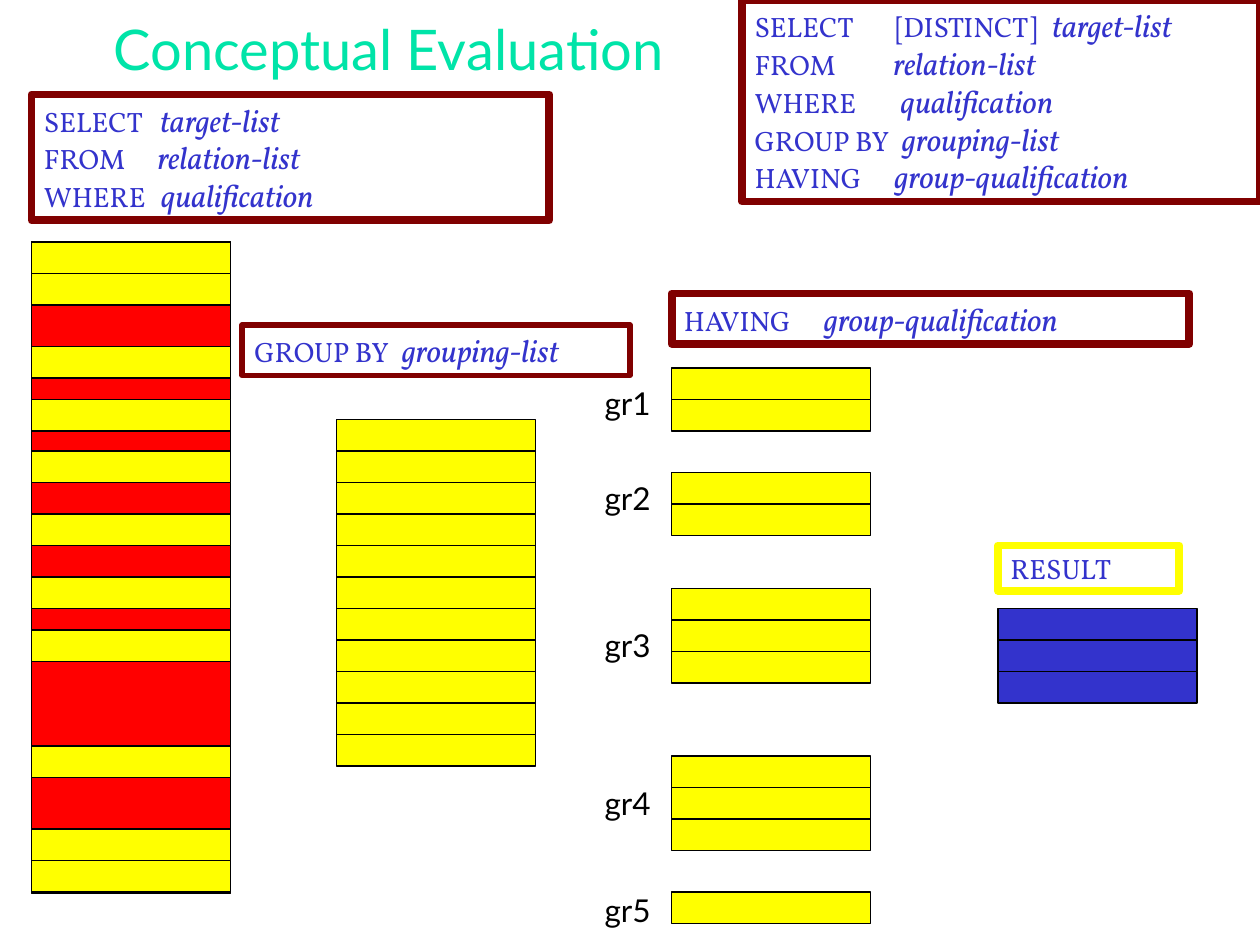
from dataclasses import dataclass

from lxml import etree
from pptx import Presentation
from pptx import util as u
from pptx.dml.color import RGBColor
from pptx.enum import shapes, text
from pptx.oxml.ns import qn


@dataclass(frozen=True)
class Theme:
    title: str = "00E4A8"
    query: str = "3333CC"
    frame: str = "800000"
    kept: str = "FFFF00"
    dropped: str = "FF0000"
    ink: str = "000000"
    sans: str = "Lato"
    serif: str = "Vollkorn"
    title_size: int = 32
    keyword_size: int = 16
    term_size: int = 18


@dataclass(frozen=True)
class Clause:
    keyword: str
    term: str = ""
    stops: tuple[float, ...] = ()


@dataclass(frozen=True)
class QueryBox:
    left: float
    top: float
    width: float
    height: float
    clauses: tuple[Clause, ...]
    border: str
    weight: float = 4.5


@dataclass(frozen=True)
class RowGroup:
    top: float
    rows: int
    label: str
    label_top: float


THEME = Theme()
ROW_WIDTH = 1.58
ROW_HEIGHT = 0.25
RELATION_LEFT = 0.25
GROUPS_LEFT = 5.33
LABEL_LEFT = 4.7

GROUP_BY = Clause("GROUP BY", "grouping-list", (1.17,))
HAVING = Clause("HAVING", "group-qualification", (1.11,))

QUERY_BOXES = (
    QueryBox(5.89, 0, 4.11, 1.6, (
        Clause("SELECT\t[DISTINCT]", "target-list", (1.12, 2.36)),
        Clause("FROM", "relation-list", (1.1,)),
        Clause("WHERE", "qualification", (1.16,)),
        GROUP_BY,
        HAVING,
    ), THEME.frame),
    QueryBox(0.25, 0.75, 4.11, 1, (
        Clause("SELECT", "target-list", (0.92,)),
        Clause("FROM", "relation-list", (0.9,)),
        Clause("WHERE", "qualification", (0.93,)),
    ), THEME.frame),
    QueryBox(1.92, 2.58, 3.08, 0.4, (GROUP_BY,), THEME.frame, 3),
    QueryBox(5.33, 2.33, 4.11, 0.4, (HAVING,), THEME.frame),
    QueryBox(7.92, 4.33, 1.44, 0.36, (Clause("RESULT"),), THEME.kept),
)

QUALIFYING_TOPS = (1.92, 2.17, 2.75, 3.17, 3.58, 4.08, 4.58, 5, 5.92, 6.58, 6.83)

ROW_GROUPS = (
    RowGroup(2.92, 2, "gr1", 3),
    RowGroup(3.75, 2, "gr2", 3.75),
    RowGroup(4.67, 3, "gr3", 4.92),
    RowGroup(6, 3, "gr4", 6.17),
    RowGroup(7.08, 1, "gr5", 7.02),
)


def color(value: str) -> RGBColor:
    return RGBColor.from_string(value)


def add_box(parent, left: float, top: float, width: float, height: float,
            fill: str | None, border: str, weight: float):
    box = parent.add_shape(
        shapes.MSO_SHAPE.RECTANGLE,
        u.Inches(left), u.Inches(top), u.Inches(width), u.Inches(height),
    )
    box.shadow.inherit = False
    if fill is None:
        box.fill.background()
    else:
        box.fill.solid()
        box.fill.fore_color.rgb = color(fill)
    box.line.color.rgb = color(border)
    box.line.width = u.Pt(weight)
    return box


def add_rows(parent, left: float, top: float, count: int, fill: str) -> None:
    for index in range(count):
        add_box(parent, left, top + index * ROW_HEIGHT, ROW_WIDTH, ROW_HEIGHT,
                fill, THEME.ink, 0.75)


def style(font, name: str, size: int, value: str) -> None:
    font.name = name
    font.size = u.Pt(size)
    font.color.rgb = color(value)


def add_tab_stops(para, stops: tuple[float, ...]) -> None:
    tabs = etree.SubElement(para._p.get_or_add_pPr(), qn("a:tabLst"))
    for stop in stops:
        etree.SubElement(tabs, qn("a:tab"), pos=str(u.Inches(stop)), algn="l")


def add_query_box(page, query: QueryBox) -> None:
    box = add_box(page.shapes, query.left, query.top, query.width, query.height,
                  None, query.border, query.weight)
    frame = box.text_frame
    frame.word_wrap = True
    frame.auto_size = text.MSO_AUTO_SIZE.SHAPE_TO_FIT_TEXT
    frame.vertical_anchor = text.MSO_ANCHOR.TOP
    for index, clause in enumerate(query.clauses):
        para = frame.add_paragraph() if index else frame.paragraphs[0]
        para.alignment = text.PP_ALIGN.LEFT
        if clause.stops:
            add_tab_stops(para, clause.stops)
        style(para.font, THEME.serif, THEME.keyword_size, THEME.query)
        span = para.add_run()
        span.text = clause.keyword + ("\t" if clause.term else "")
        if clause.term:
            span = para.add_run()
            span.text = clause.term
            span.font.size = u.Pt(THEME.term_size)
            span.font.italic = True


def add_label(page, group: RowGroup) -> None:
    box = page.shapes.add_textbox(
        u.Inches(LABEL_LEFT), u.Inches(group.label_top), u.Inches(0.6), u.Inches(0.4))
    frame = box.text_frame
    frame.word_wrap = False
    frame.auto_size = text.MSO_AUTO_SIZE.SHAPE_TO_FIT_TEXT
    para = frame.paragraphs[0]
    para.text = group.label
    style(para.font, THEME.sans, THEME.term_size, THEME.ink)


def set_title(page, wording: str) -> None:
    title = page.shapes.title
    title.left, title.top = u.Inches(0.75), u.Inches(0.17)
    title.width, title.height = u.Inches(4.67), u.Inches(0.42)
    frame = title.text_frame
    frame.auto_size = text.MSO_AUTO_SIZE.NONE
    frame.vertical_anchor = text.MSO_ANCHOR.MIDDLE
    para = frame.paragraphs[0]
    para.text = wording
    para.alignment = text.PP_ALIGN.CENTER
    style(para.font, THEME.sans, THEME.title_size, THEME.title)


def main() -> None:
    deck = Presentation()
    deck.slide_width, deck.slide_height = u.Inches(10), u.Inches(7.5)
    page = deck.slides.add_slide(deck.slide_layouts[5])
    set_title(page, "Conceptual Evaluation")
    add_box(page.shapes, RELATION_LEFT, 1.92, ROW_WIDTH, 5.17,
            THEME.dropped, THEME.ink, 0.75)
    for top in QUALIFYING_TOPS:
        add_rows(page.shapes, RELATION_LEFT, top, 1, THEME.kept)
    add_rows(page.shapes.add_group_shape().shapes, 2.67, 3.33, 11, THEME.kept)
    for group in ROW_GROUPS:
        add_rows(page.shapes, GROUPS_LEFT, group.top, group.rows, THEME.kept)
        add_label(page, group)
    add_rows(page.shapes.add_group_shape().shapes, 7.92, 4.83, 3, THEME.query)
    for query in QUERY_BOXES:
        add_query_box(page, query)
    deck.save("out.pptx")


if __name__ == "__main__":
    main()
